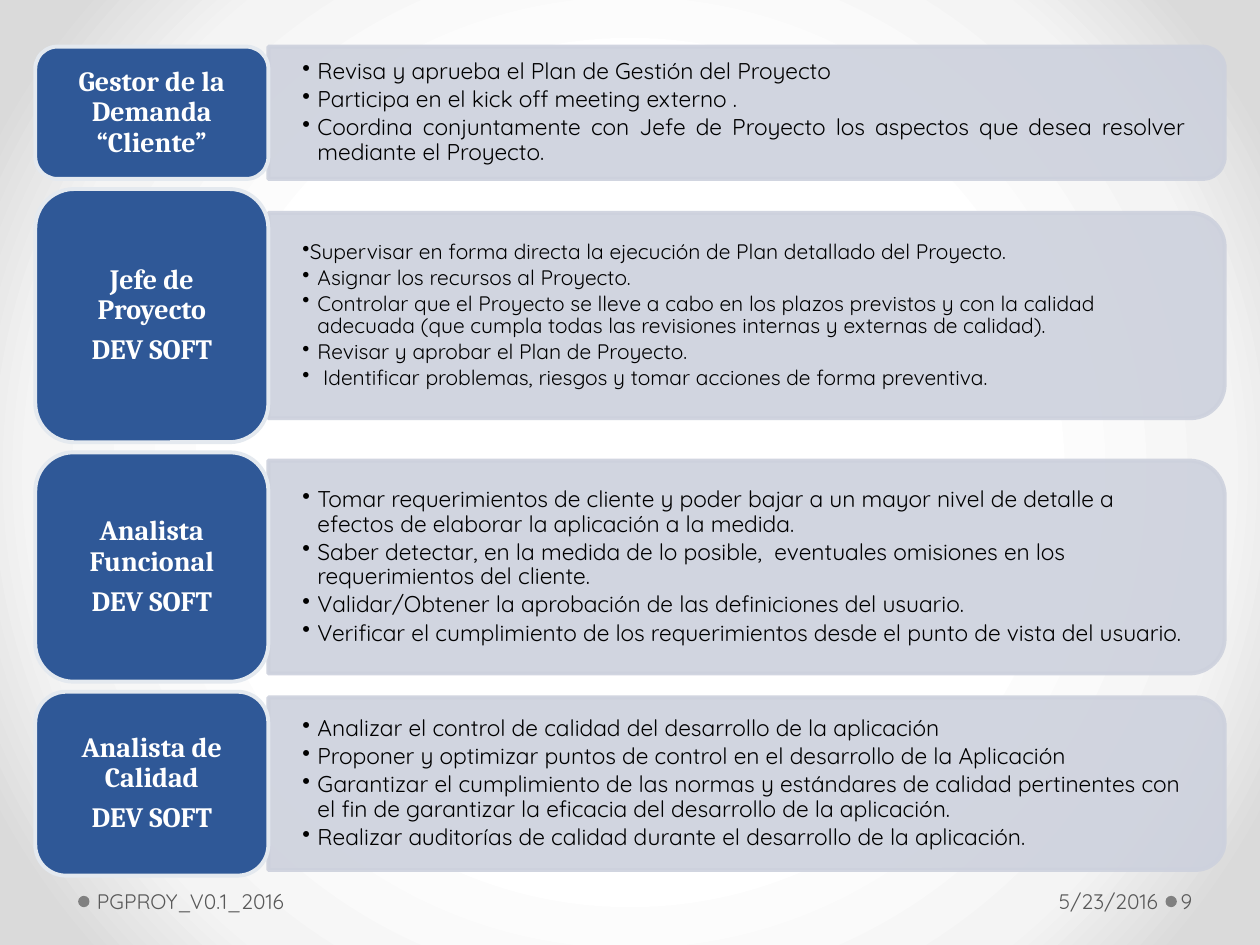
from lxml import etree
from pptx import Presentation
from pptx.dml.color import RGBColor
from pptx.enum.shapes import MSO_SHAPE
from pptx.enum.text import MSO_ANCHOR, PP_ALIGN
from pptx.oxml import parse_xml
from pptx.oxml.ns import nsdecls, qn
from pptx.util import Inches, Pt

LEFT, CENTER, RIGHT, JUSTIFY = (
    PP_ALIGN.LEFT, PP_ALIGN.CENTER, PP_ALIGN.RIGHT, PP_ALIGN.JUSTIFY)
MIDDLE = MSO_ANCHOR.MIDDLE
ROUND, ROUND_TOP, OVAL = (
    MSO_SHAPE.ROUNDED_RECTANGLE, MSO_SHAPE.ROUND_2_SAME_RECTANGLE, MSO_SHAPE.OVAL)

COLORS = {"label": "2F5897", "edge": "E4E9EF", "bar": "CDD1DD", "body": "000000",
          "white": "FFFFFF", "footer": "595959", "dot": "808080"}
BACKGROUND = [(50, "FFFFFF"), (76, "F4F4F4"), (92, "DADADA")]
HEAD, BODY = "Cambria", "Quicksand"
TOP, GAP = 0.37, 0.08
LABEL_X, LABEL_W, BAR_W = 0.28, 1.85, 7.59
BAR_X = LABEL_X + LABEL_W
CORNER_INSET = 0.049
INDENT = 0.12
FOOTER_Y, FOOTER_H = 6.95, 0.4

ROLES = [
    {"label": ["Gestor de la Demanda “Cliente”"], "height": 1.05, "bar": 1.05,
     "size": 13, "justified": 3, "flush": 0, "duties": [
         "Revisa y aprueba el Plan de Gestión del Proyecto",
         "Participa en el kick off meeting externo .",
         "Coordina conjuntamente con Jefe de Proyecto los aspectos que desea "
         "resolver mediante el Proyecto."]},
    {"label": ["Jefe de Proyecto", "DEV SOFT"], "height": 2.01, "bar": 1.63,
     "size": 12, "justified": 1, "flush": 1, "duties": [
         "Supervisar en forma directa la ejecución de Plan detallado del Proyecto.",
         "Asignar los recursos al Proyecto.",
         "Controlar que el Proyecto se lleve a cabo en los plazos previstos y con la "
         "calidad adecuada (que cumpla todas las revisiones internas y externas de "
         "calidad).",
         "Revisar y aprobar el Plan de Proyecto.",
         " Identificar problemas, riesgos y tomar acciones de forma preventiva."]},
    {"label": ["Analista Funcional", "DEV SOFT"], "height": 1.82, "bar": 1.69,
     "size": 13, "justified": 0, "flush": 0, "duties": [
         "Tomar requerimientos de cliente y poder bajar a un mayor nivel de detalle a "
         "efectos de elaborar la aplicación a la medida.",
         "Saber detectar, en la medida de lo posible,  eventuales omisiones en los "
         "requerimientos del cliente.",
         "Validar/Obtener la aprobación de las definiciones del usuario.",
         "Verificar el cumplimiento de los requerimientos desde el punto de vista del "
         "usuario."]},
    {"label": ["Analista de Calidad", "DEV SOFT"], "height": 1.46, "bar": 1.37,
     "size": 13, "justified": 0, "flush": 0, "duties": [
         "Analizar el control de calidad del desarrollo de la aplicación",
         "Proponer y optimizar puntos de control en el desarrollo de la Aplicación",
         "Garantizar el cumplimiento de las normas y estándares de calidad "
         "pertinentes con el fin de garantizar la eficacia del desarrollo de la "
         "aplicación.",
         "Realizar auditorías de calidad durante el desarrollo de la aplicación."]},
]


def rgb(name):
    """Return the palette colour of that name."""
    return RGBColor.from_string(COLORS[name])


def set_background(s):
    """Give the slide a circular gradient."""
    stops = "".join(f'<a:gs pos="{pos * 1000}"><a:srgbClr val="{color}"/></a:gs>'
                    for pos, color in BACKGROUND)
    bg = parse_xml(
        f'<p:bg {nsdecls("p", "a")}><p:bgPr><a:gradFill rotWithShape="1">'
        f'<a:gsLst>{stops}</a:gsLst><a:path path="circle">'
        '<a:fillToRect l="50000" t="50000" r="50000" b="50000"/></a:path>'
        '</a:gradFill><a:effectLst/></p:bgPr></p:bg>')
    s.element.cSld.insert(0, bg)


def set_frame(tf, insets):
    """Wrap the text, centre it vertically and set its insets."""
    tf.word_wrap = True
    tf.vertical_anchor = MIDDLE
    tf.margin_left, tf.margin_top, tf.margin_right, tf.margin_bottom = map(Inches, insets)


def add_text(tf, text, first=False, size=12, font=BODY, color="footer", bold=False,
             align=LEFT, line=None, after=0, bullet=False, indent=0):
    """Write one formatted paragraph."""
    p = tf.paragraphs[0] if first else tf.add_paragraph()
    p.alignment, p.line_spacing, p.space_after = align, line, Pt(after * size)
    if bullet:
        pPr = p._p.get_or_add_pPr()
        pPr.set("marL", str(Inches(indent)))
        pPr.set("indent", str(-Inches(indent)))
        etree.SubElement(pPr, qn("a:buChar")).set("char", "•")
    r = p.add_run()
    r.text = text
    r.font.size, r.font.name, r.font.bold = Pt(size), font, bold
    r.font.color.rgb = rgb(color)


def add_box(s, kind, x, y, w, h, fill, line=None, opacity=None):
    """Add a filled preset shape."""
    sp = s.shapes.add_shape(kind, *map(Inches, (x, y, w, h)))
    sp.shadow.inherit = False
    sp.fill.solid()
    sp.fill.fore_color.rgb = rgb(fill)
    if line:
        sp.line.color.rgb = rgb(line)
        sp.line.width = Pt(2.25)
    else:
        sp.line.fill.background()
    if opacity:
        for clr in sp._element.spPr.iter(qn("a:srgbClr")):
            etree.SubElement(clr, qn("a:alpha")).set("val", str(opacity * 1000))
    return sp


def add_frame(s, x, y, w, h, insets):
    """Add a text box and return its text frame."""
    tf = s.shapes.add_textbox(*map(Inches, (x, y, w, h))).text_frame
    set_frame(tf, insets)
    return tf


def add_duties(s, role, middle):
    """Draw the bar with the duties of a role."""
    h = role["bar"]
    sp = add_box(s, ROUND_TOP, BAR_X + (BAR_W - h) / 2, middle - BAR_W / 2, h, BAR_W,
                 "bar", "bar", opacity=90)
    sp.rotation = 90
    inset = CORNER_INSET * h
    tf = add_frame(s, BAR_X, middle - h / 2 + inset, BAR_W - inset, h - 2 * inset,
                   (0.27, 0.14, 0.27, 0.14))
    for i, duty in enumerate(role["duties"]):
        add_text(tf, duty, first=i == 0, size=role["size"], color="body", line=0.9,
                 after=0.15, align=JUSTIFY if i < role["justified"] else LEFT,
                 bullet=True, indent=0 if i < role["flush"] else INDENT)


def add_label(s, role, top):
    """Draw the block that names a role."""
    sp = add_box(s, ROUND, LABEL_X, top, LABEL_W, role["height"], "label", "edge")
    set_frame(sp.text_frame, (0.07, 0.03, 0.07, 0.03))
    for i, text in enumerate(role["label"]):
        add_text(sp.text_frame, text, first=i == 0, size=16, font=HEAD, color="white",
                 bold=True, align=CENTER, line=0.9, after=0.35)


def add_footer(s):
    """Draw the code, date and page number with their dots."""
    for x in (0.62, 9.25):
        add_box(s, OVAL, x, 7.11, 0.09, 0.09, "dot")
    for text, x, w, left, right, align in (
            ("PGPROY_V0.1_2016", 0.72, 3.96, 0.05, 0.1, LEFT),
            ("5/23/2016", 6.96, 2.28, 0.1, 0.05, RIGHT),
            ("9", 9.34, 0.61, 0.03, 0.05, LEFT)):
        tf = add_frame(s, x, FOOTER_Y, w, FOOTER_H, (left, 0.05, right, 0.05))
        add_text(tf, text, first=True, align=align)


def main():
    """Build the slide of project roles."""
    prs = Presentation()
    prs.slide_width, prs.slide_height = Inches(10), Inches(7.5)
    s = prs.slides.add_slide(prs.slide_layouts[6])
    set_background(s)
    add_footer(s)
    top = TOP
    for role in ROLES:
        add_duties(s, role, top + role["height"] / 2)
        add_label(s, role, top)
        top += role["height"] + GAP
    prs.save("out.pptx")


if __name__ == "__main__":
    main()
